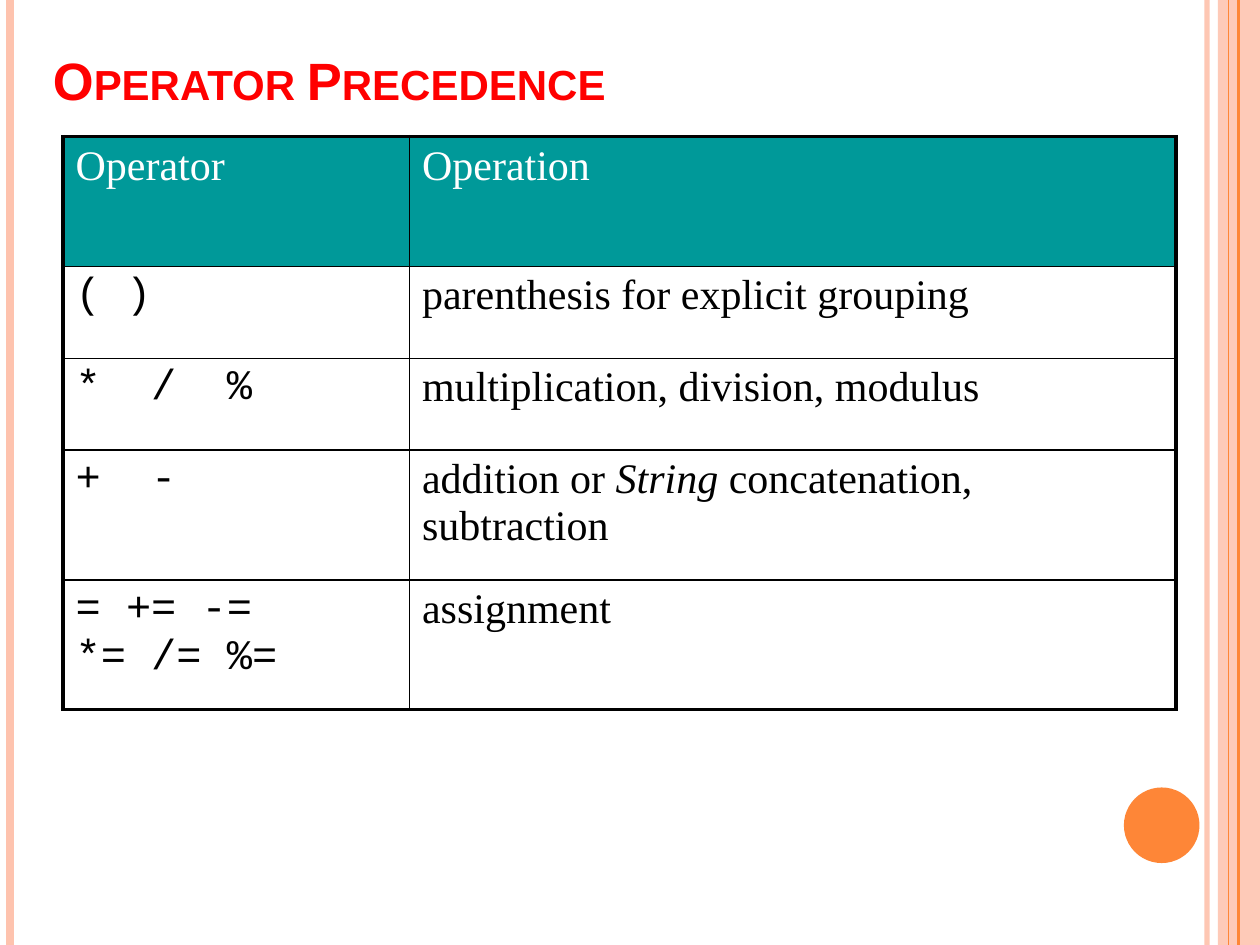
from lxml import etree
from pptx import Presentation
from pptx.dml.color import RGBColor
from pptx.enum.shapes import MSO_CONNECTOR, MSO_SHAPE
from pptx.enum.text import MSO_ANCHOR, PP_ALIGN
from pptx.oxml import parse_xml
from pptx.oxml.ns import nsdecls, qn
from pptx.util import Pt

STRAIGHT = MSO_CONNECTOR.STRAIGHT
RECTANGLE, OVAL = MSO_SHAPE.RECTANGLE, MSO_SHAPE.OVAL
LEFT, BOTTOM = PP_ALIGN.LEFT, MSO_ANCHOR.BOTTOM
COLORS = {"peach": "FEC3AE", "orange": "FE8637", "red": "FF0000",
          "teal": "009999", "white": "FFFFFF", "black": "000000"}
WIDTH, HEIGHT = 720, 540


def set_alpha(shape, percent):
    color = shape._element.spPr.find(".//" + qn("a:srgbClr"))
    etree.SubElement(color, qn("a:alpha")).set("val", str(percent * 1000))


def set_border(cell, side, points):
    cell._tc.get_or_add_tcPr().append(parse_xml(
        f'<a:{side} {nsdecls("a")} w="{Pt(points)}"><a:solidFill>'
        f'<a:srgbClr val="{COLORS["black"]}"/></a:solidFill></a:{side}>'))


deck = Presentation()
deck.slide_width, deck.slide_height = Pt(WIDTH), Pt(HEIGHT)
page = deck.slides.add_slide(deck.slide_layouts[5])

rails = [(689.76, "peach", 3, 93), (5.76, "peach", 4.5, 100),
         (707.76, "orange", 1.5, 100), (702, "orange", 0.75, 100)]
blocks = [(RECTANGLE, 696, 0, 24, HEIGHT, "peach", 87),
          (OVAL, 642.24, 450, 43.2, 43.2, "orange", 100)]

for kind, left, top, width, height, color, alpha in blocks:
    block = page.shapes.add_shape(kind, Pt(left), Pt(top), Pt(width), Pt(height))
    block.shadow.inherit = False
    block.fill.solid()
    block.fill.fore_color.rgb = RGBColor.from_string(COLORS[color])
    block.line.fill.background()
    if alpha < 100:
        set_alpha(block, alpha)

for x, color, weight, alpha in rails:
    rail = page.shapes.add_connector(STRAIGHT, Pt(x), 0, Pt(x), Pt(HEIGHT))
    rail.line.color.rgb = RGBColor.from_string(COLORS[color])
    rail.line.width = Pt(weight)
    if alpha < 100:
        set_alpha(rail, alpha)
    etree.SubElement(rail._element.spPr, qn("a:effectLst"))

title = page.shapes.title
title_place = {"left": 23.04, "top": 7.2, "width": 660.24, "height": 59.76}
for name, value in title_place.items():
    setattr(title, name, Pt(value))
title.text_frame.text = "Operator Precedence"
title.text_frame.vertical_anchor = BOTTOM
para = title.text_frame.paragraphs[0]
para.alignment = LEFT
span = para.runs[0]
for name, value in {"name": "Arial", "size": Pt(30), "bold": True}.items():
    setattr(span.font, name, value)
span.font.color.rgb = RGBColor.from_string(COLORS["red"])
span._r.get_or_add_rPr().set("cap", "small")

rows = [(74.16, ["Operator"], ["Operation"]),
        (52.56, ["( )"], ["parenthesis for explicit grouping"]),
        (52.56, ["*  /  %"], ["multiplication, division, modulus"]),
        (74.16, ["+  -"], ["addition or ", "String", " concatenation, subtraction"]),
        (74.16, ["= += -=", "\n", "*= /= %="], ["assignment"])]
column_widths = [198, 438]
table = page.shapes.add_table(
    len(rows), len(column_widths), Pt(36), Pt(78),
    Pt(sum(column_widths)), Pt(sum(row[0] for row in rows))).table
table.first_row = table.horz_banding = False
for column, width in zip(table.columns, column_widths):
    column.width = Pt(width)

for row_index, (height, *texts) in enumerate(rows):
    table.rows[row_index].height = Pt(height)
    is_header = row_index == 0
    for column_index, parts in enumerate(texts):
        cell = table.cell(row_index, column_index)
        is_code = column_index == 0 and not is_header
        para = cell.text_frame.paragraphs[0]
        for part in parts:
            if part == "\n":
                para.add_line_break()
                continue
            span = para.add_run()
            span.text = part
            style = {"name": "Courier New" if is_code else "Times New Roman",
                     "size": Pt(24), "bold": False, "italic": part == "String"}
            for name, value in style.items():
                setattr(span.font, name, value)
            color = COLORS["white" if is_header else "black"]
            span.font.color.rgb = RGBColor.from_string(color)

        outer_sides = {"lnL": column_index == 0,
                       "lnR": column_index == len(column_widths) - 1,
                       "lnT": is_header,
                       "lnB": row_index == len(rows) - 1}
        for side, is_outer in outer_sides.items():
            set_border(cell, side, 2.25 if is_outer else 1)
        if is_header:
            cell.fill.solid()
            cell.fill.fore_color.rgb = RGBColor.from_string(COLORS["teal"])
        else:
            cell.fill.background()

deck.save("out.pptx")
